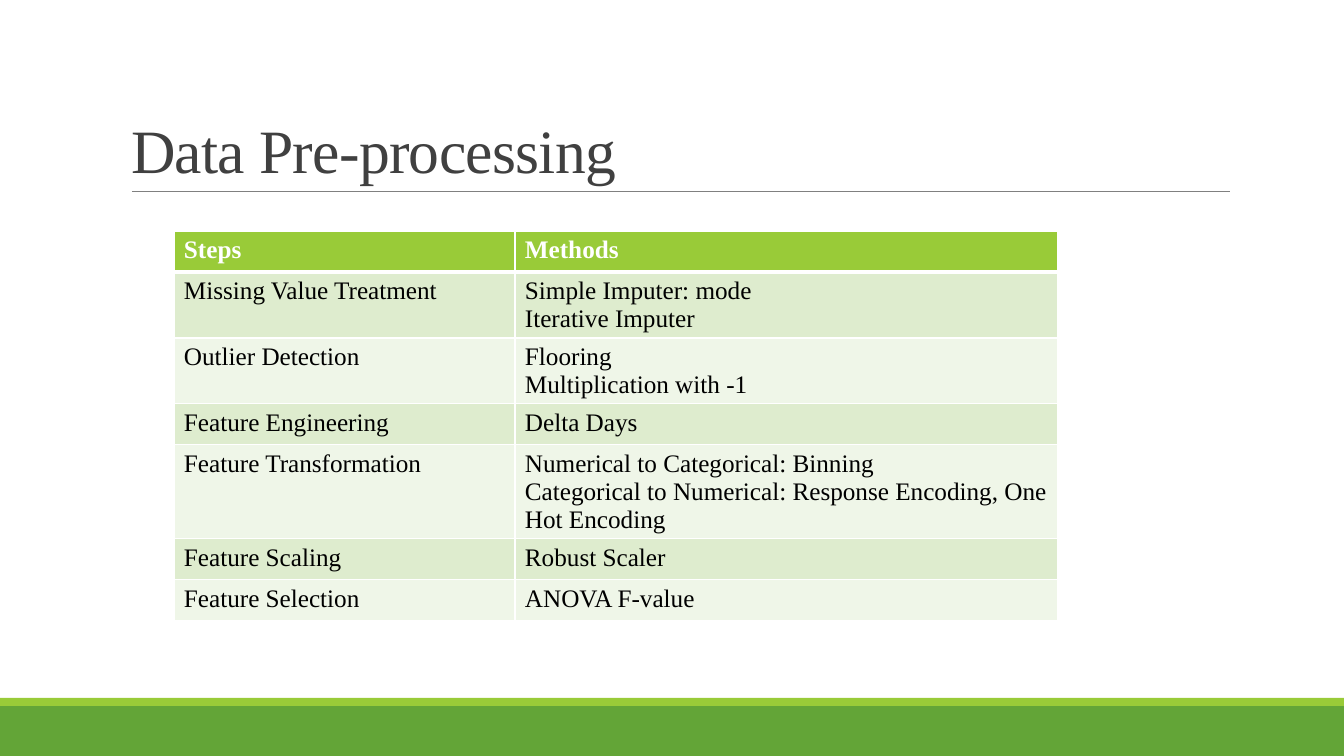
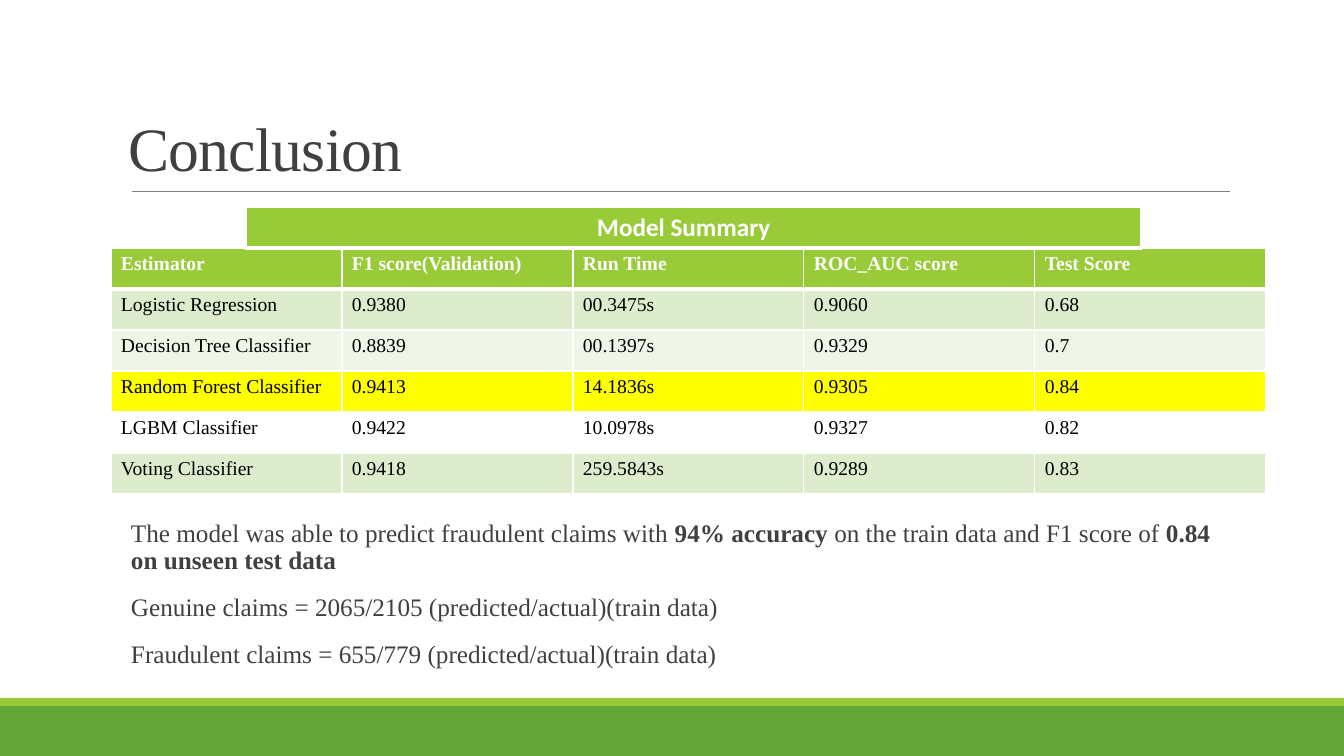
from dataclasses import dataclass

from lxml import etree
from pptx import Presentation
from pptx.dml.color import RGBColor
from pptx.enum.shapes import MSO_CONNECTOR, MSO_SHAPE
from pptx.enum.text import MSO_ANCHOR, MSO_AUTO_SIZE, PP_ALIGN
from pptx.oxml.ns import qn
from pptx.util import Pt

STRAIGHT = MSO_CONNECTOR.STRAIGHT
RECTANGLE = MSO_SHAPE.RECTANGLE
BOTTOM = MSO_ANCHOR.BOTTOM
NO_AUTOFIT = MSO_AUTO_SIZE.NONE
LEFT = PP_ALIGN.LEFT

SLIDE_W, SLIDE_H = 1344, 756
PX = 12192000 / SLIDE_W
TITLE_ONLY = 5
ROW_H = 41


@dataclass(frozen=True)
class Theme:
    green: str = "63A537"
    lime: str = "99CB38"
    band_dark: str = "DEECCE"
    band_light: str = "EFF6E8"
    highlight: str = "FFFF00"
    white: str = "FFFFFF"
    black: str = "000000"
    text: str = "404040"
    rule: str = "808080"
    serif: str = "Times New Roman"
    sans: str = "Calibri"
    title_size: int = 44
    body_size: int = 18
    small_size: int = 14


THEME = Theme()


def px(*lengths):
    return [round(length * PX) for length in lengths]


def write(paragraph, text, size=THEME.body_size, color=THEME.text,
          font=THEME.serif, bold=False, spacing=None):
    run = paragraph.add_run()
    run.text = text
    run.font.size = Pt(size)
    run.font.name = font
    run.font.bold = bold
    run.font.color.rgb = RGBColor.from_string(color)
    if spacing is not None:
        run.font._element.set("spc", str(round(spacing * 100)))


prs = Presentation()
prs.slide_width, prs.slide_height = px(SLIDE_W, SLIDE_H)

# Shared frame: bands, rule and title
slides = []
for heading, left, top in [("Data Pre-processing", 121, 31), ("Conclusion", 118, 29)]:
    slide = prs.slides.add_slide(prs.slide_layouts[TITLE_ONLY])
    slides.append(slide)

    for band_top, band_height, color in [(706, 50, THEME.green), (698, 8, THEME.lime)]:
        band = slide.shapes.add_shape(RECTANGLE, *px(0, band_top, SLIDE_W, band_height))
        band.shadow.inherit = False
        band.fill.solid()
        band.fill.fore_color.rgb = RGBColor.from_string(color)
        band.line.fill.background()

    rule = slide.shapes.add_connector(STRAIGHT, *px(132, 191, 1230, 191))
    rule.line.color.rgb = RGBColor.from_string(THEME.rule)
    rule.line.width = Pt(0.5)
    etree.SubElement(rule._element.spPr, qn("a:effectLst"))

    title = slide.shapes.title
    title.left, title.top, title.width, title.height = px(left, top, 1109, 160)
    title.text_frame.auto_size = NO_AUTOFIT
    title.text_frame.vertical_anchor = BOTTOM
    title_line = title.text_frame.paragraphs[0]
    title_line.alignment = LEFT
    title_line.line_spacing = 0.85
    write(title_line, heading, size=THEME.title_size, spacing=-0.5)

preprocessing, conclusion = slides

# Table contents
steps = [
    ("Steps", "Methods"),
    ("Missing Value Treatment", "Simple Imputer: mode\nIterative Imputer"),
    ("Outlier Detection", "Flooring\nMultiplication with -1"),
    ("Feature Engineering", "Delta Days"),
    ("Feature Transformation", "Numerical to Categorical: Binning\n"
     "Categorical to Numerical: Response Encoding, One Hot Encoding"),
    ("Feature Scaling", "Robust Scaler"),
    ("Feature Selection", "ANOVA F-value"),
]
scores = [
    ("Estimator", "F1 score(Validation)", "Run Time", "ROC_AUC score", "Test Score"),
    ("Logistic Regression", "0.9380", "00.3475s", "0.9060", "0.68"),
    ("Decision Tree Classifier", "0.8839", "00.1397s", "0.9329", "0.7"),
    ("Random Forest Classifier", "0.9413", "14.1836s", "0.9305", "0.84"),
    ("LGBM Classifier", "0.9422", "10.0978s", "0.9327", "0.82"),
    ("Voting Classifier", "0.9418", "259.5843s", "0.9289", "0.83"),
]
summary = [("Model Summary",)]

step_fills = [THEME.lime] + [THEME.band_dark, THEME.band_light] * 3
score_fills = [THEME.lime, THEME.band_dark, THEME.band_light,
               THEME.highlight, THEME.white, THEME.band_dark]

# slide, rows, row fills, left, top, column widths, size, font, left cell margin
tables = [
    (preprocessing, steps, step_fills, 174, 231, [341, 543],
     THEME.body_size, THEME.serif, 10),
    (conclusion, scores, score_fills, 111, 248, [231] * 5,
     THEME.small_size, THEME.serif, 10),
    (conclusion, summary, [THEME.lime], 246, 207, [895],
     THEME.body_size, THEME.sans, 351),
]

# Tables
for slide, rows, fills, left, top, widths, size, font, margin in tables:
    table = slide.shapes.add_table(
        len(rows), len(widths), *px(left, top, sum(widths), ROW_H * len(rows))).table
    table.first_row = False
    table.horz_banding = False
    for column, width in zip(table.columns, px(*widths)):
        column.width = width

    for r, (row, fill) in enumerate(zip(rows, fills)):
        table.rows[r].height = px(ROW_H)[0]
        is_header = r == 0
        for c, text in enumerate(row):
            cell = table.cell(r, c)
            cell.margin_left = px(margin)[0]

            # White borders, thick under the header
            borders = {"lnL": 1, "lnR": 1, "lnT": 3 if r == 1 else 1,
                       "lnB": 3 if is_header else 1}
            properties = cell._tc.get_or_add_tcPr()
            for side, points in borders.items():
                border = etree.SubElement(properties, qn(f"a:{side}"), w=str(Pt(points)))
                paint = etree.SubElement(border, qn("a:solidFill"))
                etree.SubElement(paint, qn("a:srgbClr"), val=THEME.white)

            cell.fill.solid()
            cell.fill.fore_color.rgb = RGBColor.from_string(fill)
            for i, line in enumerate(text.split("\n")):
                frame = cell.text_frame
                paragraph = frame.add_paragraph() if i else frame.paragraphs[0]
                write(paragraph, line, size=size, font=font, bold=is_header,
                      color=THEME.white if is_header else THEME.black)

# Findings below the scores, as (text, bold) parts
findings = [
    [("The model was able to predict fraudulent claims with ", False),
     ("94% accuracy ", True),
     ("on the train data and F1 score of ", False),
     ("0.84 on unseen test data", True)],
    [("Genuine claims = 2065/2105 (predicted/actual)(train data)", False)],
    [("Fraudulent claims = 655/779 (predicted/actual)(train data)", False)],
]
findings_frame = conclusion.shapes.add_textbox(*px(131, 516, 1099, 131)).text_frame
findings_frame.word_wrap = True
findings_frame.margin_left = findings_frame.margin_right = 0
for i, parts in enumerate(findings):
    paragraph = findings_frame.add_paragraph() if i else findings_frame.paragraphs[0]
    paragraph.line_spacing = 0.9
    paragraph.space_before = Pt(12)
    paragraph.space_after = Pt(2)
    for text, bold in parts:
        write(paragraph, text, bold=bold)

prs.save("out.pptx")
